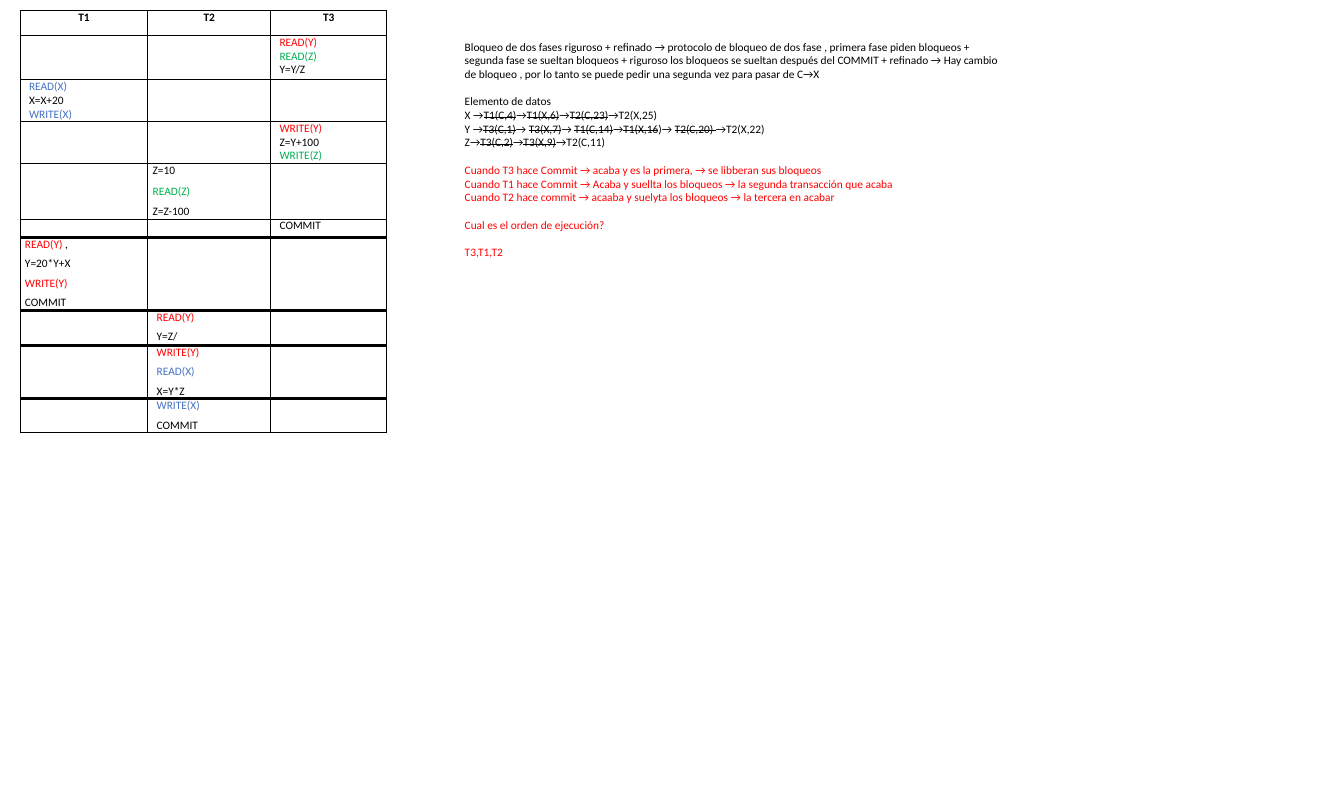
from lxml import etree
from pptx import Presentation
from pptx.dml.color import RGBColor
from pptx.enum.text import MSO_ANCHOR, PP_ALIGN
from pptx.oxml.ns import qn
from pptx.util import Cm, Pt

TOP = MSO_ANCHOR.TOP
CENTER = PP_ALIGN.CENTER
LEFT = PP_ALIGN.LEFT
BLACK = RGBColor(0x00, 0x00, 0x00)
RED = RGBColor(0xFF, 0x00, 0x00)
GREEN = RGBColor(0x00, 0xB0, 0x50)
BLUE = RGBColor(0x44, 0x72, 0xC4)
ITEM_COLORS = {"X": BLUE, "Y": RED, "Z": GREEN}

FONT = "Calibri"
SIZE = Pt(12)
BLANK_LINE = Pt(14.65)
THIN, THICK = Pt(1), Pt(3)
WIDE, NARROW = Cm(0.33), Cm(0.18)

TRANSACTIONS = ["T1", "T2", "T3"]
COLUMN_WIDTHS = [4.75, 4.57, 4.32]
HEADER_HEIGHT = 0.94
FIRST_THICK_LINE = 6
LOOSE = {"gap": Pt(3)}
LOOSER = {"gap": Pt(3), "spacing": 1.07}
STEPS = [
    (1.65, "T3", ["READ(Y)", "READ(Z)", "Y=Y/Z"], WIDE, {}),
    (1.55, "T1", ["READ(X)", "X=X+20", "WRITE(X)"], WIDE, {}),
    (1.55, "T3", ["WRITE(Y)", "Z=Y+100", "WRITE(Z)"], WIDE, {}),
    (2.08, "T2", ["Z=10", "READ(Z)", "Z=Z-100"], NARROW, LOOSER),
    (0.69, "T3", ["COMMIT"], WIDE, LOOSE),
    (2.72, "T1", ["READ(Y) ,", "Y=20*Y+X", "WRITE(Y)", "COMMIT"], NARROW, LOOSE),
    (1.3, "T2", ["READ(Y)", "Y=Z/"], WIDE, LOOSE),
    (1.98, "T2", ["WRITE(Y)", "READ(X)", "X=Y*Z"], WIDE, LOOSE),
    (1.24, "T2", ["WRITE(X)", "COMMIT"], WIDE, LOOSE),
]

STRIKE_MARK = "~"
NOTES = [
    (BLACK, [
        "Bloqueo de dos fases riguroso + refinado → protocolo de bloqueo de dos fase , "
        "primera fase piden bloqueos + segunda fase se sueltan bloqueos + riguroso los "
        "bloqueos se sueltan después del COMMIT + refinado → Hay cambio de bloqueo , "
        "por lo tanto se puede pedir una segunda vez para pasar de C→X",
    ]),
    (BLACK, [
        "Elemento de datos",
        "X →~T1(C,4)~→~T1(X,6)~→~T2(C,23)~→T2(X,25)",
        "Y →~T3(C,1)~→ ~T3(X,7)~→ ~T1(C,14)~→~T1(X,16~)→ ~T2(C,20) ~→T2(X,22)",
        "Z→~T3(C,2)~→~T3(X,9)~→T2(C,11)",
    ]),
    (RED, [
        "Cuando T3 hace Commit → acaba y es la primera, → se libberan sus bloqueos",
        "Cuando T1 hace Commit → Acaba y suellta los bloqueos → la segunda transacción que acaba",
        "Cuando T2 hace commit → acaaba y suelyta los bloqueos → la tercera en acabar",
    ]),
    (RED, ["Cual es el orden de ejecución?"]),
    (RED, ["T3,T1,T2"]),
]


def write(paragraph, text, color=BLACK, bold=False, strike=False):
    """Append a formatted run to a paragraph."""
    run = paragraph.add_run()
    run.text = text
    run.font.name = FONT
    run.font.size = SIZE
    run.font.bold = bold
    run.font.color.rgb = color
    if strike:
        run.font._element.set("strike", "sngStrike")


def write_operation(paragraph, operation):
    """Write an operation, coloured by the data item it reads or writes."""
    access, bracket, rest = operation.partition(")")
    if bracket:
        write(paragraph, access + bracket, color=ITEM_COLORS[access[-1]])
        if rest:
            write(paragraph, rest)
    else:
        write(paragraph, operation)


class ScheduleSlide:
    """Hold the slide and add its schedule and its notes."""

    def __init__(self, slide):
        """Keep the slide to draw on."""
        self.slide = slide

    def paragraph(self, frame, index, gap=None, spacing=None, align=LEFT):
        """Return the spaced paragraph at an index, adding it when needed."""
        paragraph = frame.add_paragraph() if index else frame.paragraphs[0]
        paragraph.alignment = align
        if gap:
            paragraph.space_before = paragraph.space_after = gap
        if spacing:
            paragraph.line_spacing = spacing
        return paragraph

    def border(self, cell, side, width):
        """Give one side of a cell a solid black line."""
        line = etree.SubElement(cell._tc.get_or_add_tcPr(), qn(f"a:ln{side}"), w=str(int(width)))
        fill = etree.SubElement(line, qn("a:solidFill"))
        etree.SubElement(fill, qn("a:srgbClr"), val=str(BLACK))

    def prepare_cell(self, cell, row, last_row):
        """Set the borders, fill, margins and empty text size of a cell."""
        top = THICK if row >= FIRST_THICK_LINE else THIN
        bottom = THICK if FIRST_THICK_LINE <= row + 1 <= last_row else THIN
        for side, width in (("L", THIN), ("R", THIN), ("T", top), ("B", bottom)):
            self.border(cell, side, width)
        cell.fill.background()
        cell.vertical_anchor = TOP
        cell.margin_left = cell.margin_right = WIDE
        cell.margin_top = cell.margin_bottom = 0
        end = cell.text_frame.paragraphs[0]._p.get_or_add_endParaRPr()
        end.set("sz", str(int(SIZE.pt * 100)))

    def schedule(self, left, top):
        """Add the table of transactions and their operations."""
        heights = [HEADER_HEIGHT] + [step[0] for step in STEPS]
        table = self.slide.shapes.add_table(
            len(heights), len(TRANSACTIONS), Cm(left), Cm(top),
            Cm(sum(COLUMN_WIDTHS)), Cm(sum(heights))).table
        table.first_row = table.horz_banding = False
        for column, width in zip(table.columns, COLUMN_WIDTHS):
            column.width = Cm(width)
        for row, height in enumerate(heights):
            table.rows[row].height = Cm(height)
            for column in range(len(TRANSACTIONS)):
                self.prepare_cell(table.cell(row, column), row, len(STEPS))
        for column, transaction in enumerate(TRANSACTIONS):
            frame = table.cell(0, column).text_frame
            write(self.paragraph(frame, 0, align=CENTER, **LOOSER), transaction, bold=True)
        for row, (_, transaction, operations, inset, rhythm) in enumerate(STEPS, 1):
            cell = table.cell(row, TRANSACTIONS.index(transaction))
            cell.margin_left = cell.margin_right = inset
            for index, operation in enumerate(operations):
                write_operation(self.paragraph(cell.text_frame, index, **rhythm), operation)

    def notes(self, left, top, width, height):
        """Add the explanation, with released locks struck through."""
        frame = self.slide.shapes.add_textbox(Cm(left), Cm(top), Cm(width), Cm(height)).text_frame
        frame.word_wrap = True
        frame.margin_top = Cm(0.64)
        count = 0
        for color, lines in NOTES:
            for position, line in enumerate(lines):
                paragraph = self.paragraph(frame, count)
                if count and position == 0:
                    paragraph.space_before = BLANK_LINE
                for part, text in enumerate(line.split(STRIKE_MARK)):
                    write(paragraph, text, color=color, strike=part % 2 == 1)
                count += 1


def main():
    """Build and save the presentation."""
    presentation = Presentation()
    presentation.slide_width = Cm(50)
    presentation.slide_height = Cm(30)
    blank_layout = presentation.slide_layouts[6]
    page = ScheduleSlide(presentation.slides.add_slide(blank_layout))
    page.schedule(0.75, 0.38)
    page.notes(17.04, 0.84, 20.68, 11.53)
    presentation.save("out.pptx")


if __name__ == "__main__":
    main()
